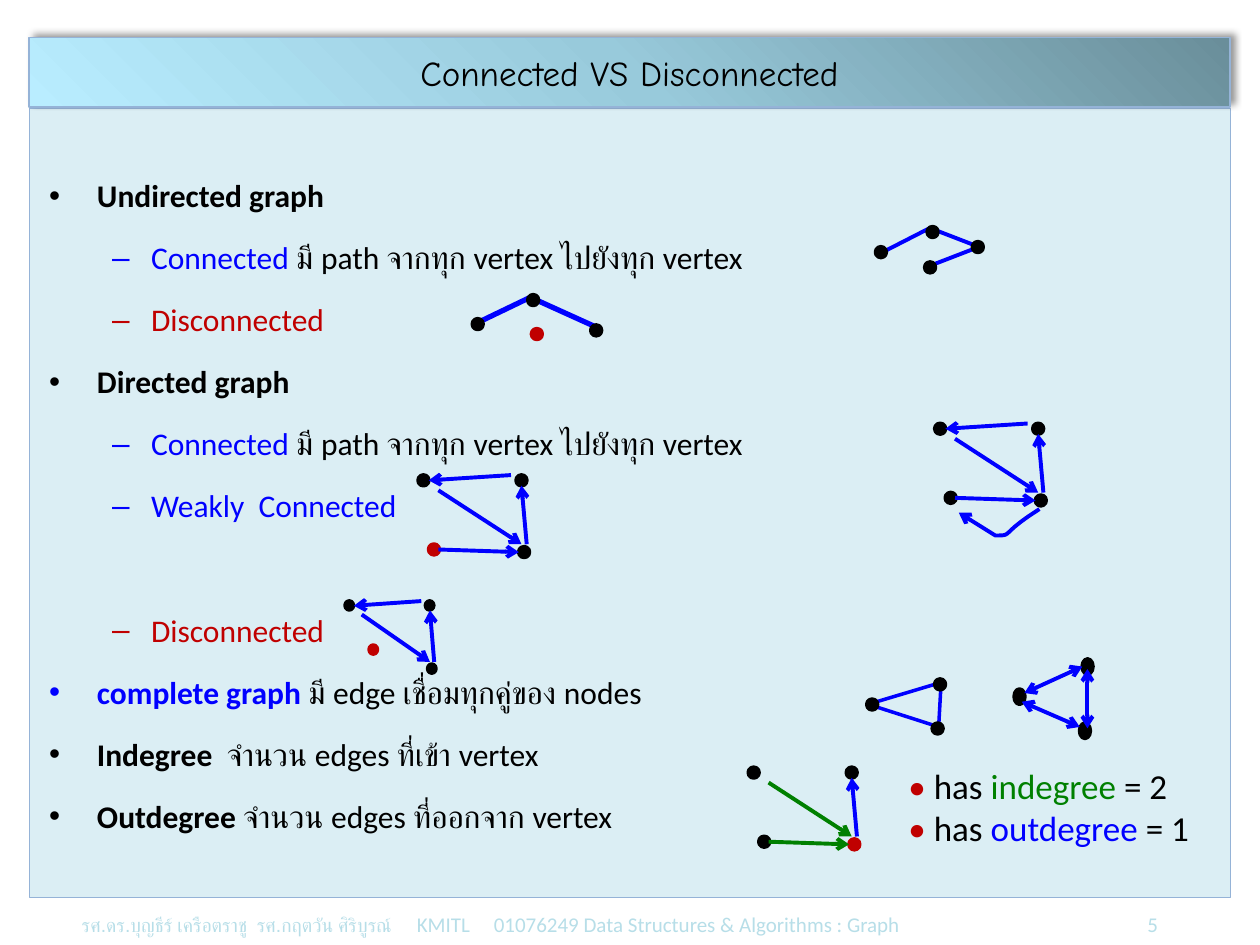
from dataclasses import dataclass
from typing import NamedTuple

from pptx import Presentation, util as u
from pptx.dml.color import RGBColor
from pptx.enum import shapes, text
from pptx.oxml import parse_xml
from pptx.oxml.ns import nsdecls

COLORS = {
    "black": "000000", "blue": "0000FF", "red": "C00000", "green": "008000",
    "panel": "DBEEF4", "border": "95B3D7", "footer": "B7DEE8",
    "dark": "6A8E9A", "middle": "98CADB", "light": "B9EDFF",
}
FONT = "Calibri"


class Dot(NamedTuple):
    x: float
    y: float
    color: str = "black"
    width: float = 6
    height: float = 6


class Edge(NamedTuple):
    start: tuple
    end: tuple
    color: str = "blue"
    both_ways: bool = False


class Span(NamedTuple):
    words: str
    color: str = "black"
    bold: bool = False


class Item(NamedTuple):
    level: int
    spans: list
    before: float = 3


@dataclass
class Route:
    points: list
    width: float = 2.25
    closed: bool = False
    arrow: bool = False


@dataclass
class Diagram:
    dots: list
    edges: list
    routes: list


def rgb(name: str) -> RGBColor:
    return RGBColor.from_string(COLORS[name])


def apply(target, values: dict) -> None:
    for name, value in values.items():
        setattr(target, name, value)


def element(markup: str):
    tag, _, rest = markup.partition(" ")
    return parse_xml(f"<a:{tag} {nsdecls('a')} {rest}")


def place(shape, left: float, top: float, width: float, height: float) -> None:
    apply(shape, dict(zip(("left", "top", "width", "height"), map(u.Pt, (left, top, width, height)))))


def stroke(shape, color: str, width: float) -> None:
    shape.line.color.rgb = rgb(color)
    shape.line.width = u.Pt(width)


def add_arrow(shape, *ends: str) -> None:
    for end in ends:
        shape.line._get_or_add_ln().append(element(f'{end} type="arrow"/>'))


def add_span(para, span: Span, size: float, font: str = FONT) -> None:
    run = para.add_run()
    run.text = span.words
    apply(run.font, {"size": u.Pt(size), "name": font, "bold": span.bold})
    run.font.color.rgb = rgb(span.color)


def draw_dot(group, dot: Dot) -> None:
    shape = group.shapes.add_shape(shapes.MSO_SHAPE.OVAL, *map(u.Pt, (dot.x, dot.y, dot.width, dot.height)))
    shape.shadow.inherit = False
    shape.fill.solid()
    shape.fill.fore_color.rgb = rgb(dot.color)
    stroke(shape, dot.color, 2.25)


def draw_edge(group, edge: Edge) -> None:
    line = group.shapes.add_connector(shapes.MSO_CONNECTOR.STRAIGHT, *map(u.Pt, edge.start + edge.end))
    stroke(line, edge.color, 2.25)
    add_arrow(line, *(("headEnd", "tailEnd") if edge.both_ways else ("tailEnd",)))
    line._element.spPr.append(element("effectLst />"))


def draw_route(group, route: Route) -> None:
    points = [(u.Pt(x), u.Pt(y)) for x, y in route.points]
    builder = group.shapes.build_freeform(*points[0])
    builder.add_line_segments(points[1:], close=route.closed)
    shape = builder.convert_to_shape()
    shape.shadow.inherit = False
    shape.fill.background()
    stroke(shape, "blue", route.width)
    if route.arrow:
        add_arrow(shape, "tailEnd")


def draw_diagram(page, diagram: Diagram) -> None:
    group = page.shapes.add_group_shape()
    for draw, parts in ((draw_route, diagram.routes), (draw_dot, diagram.dots), (draw_edge, diagram.edges)):
        for part in parts:
            draw(group, part)


def bezier(a: tuple, b: tuple, c: tuple, d: tuple, steps: int = 10) -> list:
    def at(t: float) -> tuple:
        weights = ((1 - t) ** 3, 3 * t * (1 - t) ** 2, 3 * t * t * (1 - t), t ** 3)
        return tuple(sum(w * p[axis] for w, p in zip(weights, (a, b, c, d))) for axis in (0, 1))
    return [at(step / steps) for step in range(steps + 1)]


CORNERS = {"top_left": (0, 0), "hub": (57.5, 41), "top_right": (56, 0), "lower_left": (6, 39.5)}
LINKS = {
    "lower": ((11.5, 42.5), (57.5, 44)), "right": ((62, 39.5), (59, 6)),
    "top": ((53, 0), (6, 3)), "diagonal": ((11.5, 8.7), (59, 39.5)),
}


def directed(left: float, top: float, links: dict, marks: dict, corners=tuple(CORNERS),
             scale: tuple = (1, 1), size: tuple = (6, 6)) -> Diagram:
    def spot(point: tuple) -> tuple:
        return left + point[0] * scale[0], top + point[1] * scale[1]
    dots = [Dot(*spot(CORNERS[name]), marks.get(name, "black"), *size) for name in corners]
    edges = [Edge(*map(spot, LINKS[name]), color) for name, color in links.items()]
    return Diagram(dots, edges, [])


ALL_BLUE = dict.fromkeys(LINKS, "blue")
strong = directed(534.25, 242, ALL_BLUE, {})
strong.routes.append(Route(bezier((594, 290.9), (570.2, 306), (579.6, 306), (568.8, 306)) + [(547.9, 293)], arrow=True))
split = directed(197.3, 343.5, dict.fromkeys(("right", "top", "diagonal"), "blue"), {},
                 ("top_left", "hub", "top_right"), (0.82, 0.88), (4.6, 5))
split.dots.append(Dot(211, 368.7, "red", 4.6, 5))

DIAGRAMS = [
    Diagram([Dot(528.5, 149.8), Dot(555.8, 138.2), Dot(529.9, 129.6), Dot(500.4, 141.1)], [],
            [Route([(531.4, 151.9), (559.4, 141.1), (531.4, 130.3), (503.3, 144.7)])]),
    Diagram([Dot(337.7, 185.8), Dot(303.8, 187.9, "red"), Dot(301.7, 168.5), Dot(270, 182.2)], [],
            [Route([(339.8, 186.5), (303.1, 169.9), (270, 185.8)], 3)]),
    strong,
    directed(239, 271.5, ALL_BLUE, {"lower_left": "red"}),
    split,
    Diagram([Dot(495.4, 399.6), Dot(534.2, 388.1), Dot(532.8, 413.3)]
            + [Dot(x, y, height=8.6) for x, y in ((579.6, 393.8), (618.5, 376.6), (617, 413.3))],
            [Edge((583.9, 401), (617, 415.4), both_ways=True), Edge((585.4, 396), (618.5, 380.9), both_ways=True),
             Edge((621.4, 416.2), (621.4, 382.3), both_ways=True)],
            [Route([(536.4, 415.4), (537.8, 390), (496.1, 402.5)], 2, True)]),
    directed(427.7, 438.5, {"lower": "green", "right": "blue", "diagonal": "green"}, {"hub": "red"}),
]
CONNECTED = Item(1, [Span("Connected ", "blue"), Span("มี path จากทุก vertex ไปยังทุก vertex")])
ITEMS = [
    Item(0, [Span("Undirected graph", bold=True)]),
    CONNECTED,
    Item(1, [Span("Disconnected", "red")]),
    Item(0, [Span("Directed graph", bold=True)]),
    CONNECTED,
    Item(1, [Span("Weakly  Connected", "blue")]),
    Item(1, [Span("Disconnected", "red")], 39),
    Item(0, [Span("complete graph ", "blue", True), Span("มี edge เชื่อมทุกคู่ของ nodes")]),
    Item(0, [Span("Indegree  ", bold=True), Span("จำนวน edges ที่เข้า vertex")]),
    Item(0, [Span("Outdegree ", bold=True), Span("จำนวน edges ที่ออกจาก vertex")]),
]
BULLETS = [("•", 27.4, 27.4), ("–", 58.3, 22.3)]


def add_panel(page) -> None:
    panel = page.shapes.add_shape(shapes.MSO_SHAPE.RECTANGLE, *map(u.Pt, (16.6, 61.9, 686.2, 450.7)))
    panel.shadow.inherit = False
    panel.fill.solid()
    panel.fill.fore_color.rgb = rgb("panel")
    stroke(panel, "border", 0.25)
    page.shapes._spTree.insert(2, panel._element)


def fill_title(title) -> None:
    place(title, 16.6, 21.6, 686.2, 39.6)
    apply(title.text_frame, {"auto_size": text.MSO_AUTO_SIZE.NONE, "vertical_anchor": text.MSO_ANCHOR.MIDDLE})
    para = title.text_frame.paragraphs[0]
    para.alignment = text.PP_ALIGN.CENTER
    add_span(para, Span("Connected VS Disconnected"), 20, "Comic Neue")
    stroke(title, "border", 0.75)
    stops = "".join(f'<a:gs pos="{pos}000"><a:srgbClr val="{COLORS[name]}"/></a:gs>'
                    for pos, name in ((0, "dark"), (50, "middle"), (100, "light")))
    line = title.line._get_or_add_ln()
    line.addprevious(element(f'gradFill rotWithShape="1"><a:gsLst>{stops}</a:gsLst><a:lin ang="8100000" scaled="0"/></a:gradFill>'))
    line.addnext(element(f'effectLst ><a:outerShdw blurRad="{u.Pt(4)}" dist="{u.Pt(3)}" dir="18900000" algn="bl" rotWithShape="0">'
                         '<a:srgbClr val="000000"><a:alpha val="40000"/></a:srgbClr></a:outerShdw></a:effectLst>'))


def fill_body(body) -> None:
    place(body, 28, 90, 528.5, 399.6)
    frame = body.text_frame
    apply(frame, {"auto_size": text.MSO_AUTO_SIZE.NONE, "margin_left": 0, "margin_right": 0,
                  "margin_top": 0, "margin_bottom": 0})
    for index, item in enumerate(ITEMS):
        para = frame.add_paragraph() if index else frame.paragraphs[0]
        apply(para, {"level": item.level, "line_spacing": 1.5, "space_before": u.Pt(item.before)})
        symbol, margin, hang = BULLETS[item.level]
        props = para._p.get_or_add_pPr()
        props.set("marL", str(u.Pt(margin)))
        props.set("indent", str(-u.Pt(hang)))
        props.append(element('buFont typeface="Arial"/>'))
        props.append(element(f'buChar char="{symbol}"/>'))
        for span in item.spans:
            add_span(para, span, 18)


def add_degrees(page) -> None:
    frame = page.shapes.add_textbox(*map(u.Pt, (512, 433.4, 185.8, 55.4))).text_frame
    frame.word_wrap = True
    rows = (("indegree", "green", " = 2"), ("outdegree", "blue", " = 1"))
    for index, (word, color, value) in enumerate(rows):
        para = frame.add_paragraph() if index else frame.paragraphs[0]
        for span in (Span("• ", "red"), Span("has "), Span(word, color), Span(value)):
            add_span(para, span, 20)


def add_footer(page) -> None:
    frame = page.shapes.add_textbox(*map(u.Pt, (39.6, 513.4, 646.6, 26.6))).text_frame
    frame.word_wrap = True
    para = frame.paragraphs[0]
    stops = "".join(f'<a:tab pos="{u.Pt(pos)}" algn="{side}"/>' for pos, side in ((191.5, "l"), (235.5, "l"), (615, "r")))
    para._p.get_or_add_pPr().append(element(f"tabLst >{stops}</a:tabLst>"))
    add_span(para, Span("รศ.ดร.บุญธีร์ เครือตราชู  รศ.กฤตวัน ศิริบูรณ์", "footer"), 11, "Arial")
    add_span(para, Span("\tKMITL\t01076249 Data Structures & Algorithms : Graph", "footer"), 12)
    add_span(para, Span("\t", "footer"), 16)
    add_span(para, Span("5", "footer"), 12)


def main() -> None:
    deck = Presentation()
    apply(deck, {"slide_width": u.Pt(720), "slide_height": u.Pt(540)})
    page = deck.slides.add_slide(deck.slide_layouts[1])
    add_panel(page)
    add_footer(page)
    fill_title(page.shapes.title)
    fill_body(page.placeholders[1])
    for diagram in DIAGRAMS:
        draw_diagram(page, diagram)
    add_degrees(page)
    deck.save("out.pptx")


if __name__ == "__main__":
    main()
